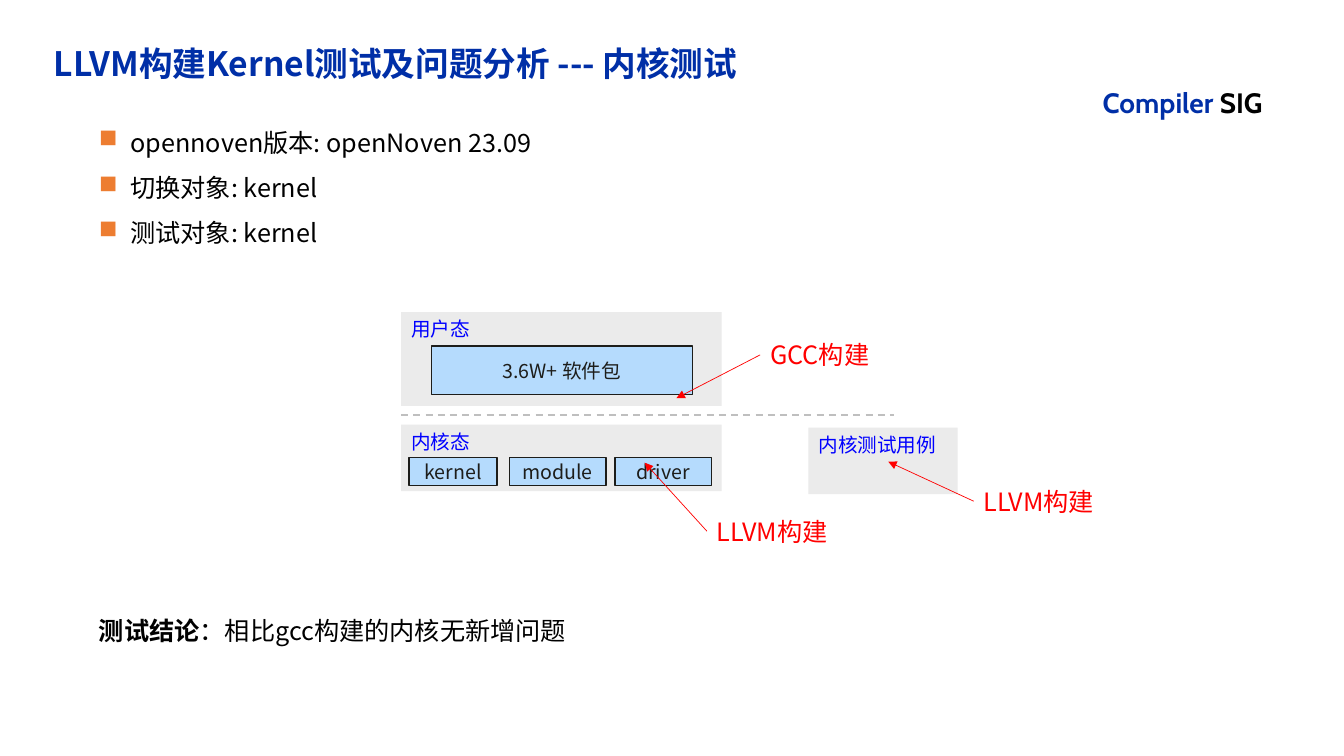
from lxml.etree import SubElement
from pptx import Presentation
from pptx.dml.color import RGBColor
from pptx.enum.dml import MSO_LINE
from pptx.enum.shapes import MSO_CONNECTOR, MSO_SHAPE
from pptx.enum.text import MSO_ANCHOR as ANCHOR, MSO_AUTO_SIZE, PP_ALIGN as ALIGN
from pptx.oxml.ns import qn
from pptx.util import Pt

# Content; boxes are (left, top, width, height) in points
TITLE = "LLVM构建Kernel测试及问题分析 --- 内核测试"
GROUP_NAME = ("Compiler", " SIG")
SCOPE = ["opennoven版本: openNoven 23.09", "切换对象: kernel", "测试对象: kernel"]
CONCLUSION = ("测试结论", "：相比gcc构建的内核无新增问题")
ZONES = [
    ("用户态", (286.5, 223, 229, 67)),
    ("内核态", (286.5, 303.3, 229, 47.5)),
    ("内核测试用例", (577.5, 305.5, 106.5, 47.5)),
]
PARTS = [
    ("3.6W+ 软件包", (308, 247, 186.5, 35)),
    ("kernel", (292.3, 327, 62.7, 20)),
    ("module", (363.8, 327, 69, 20)),
    ("driver", (439.2, 327, 69, 20)),
]
# Label, its left and top, and the point its arrow reaches
BUILDERS = [
    ("GCC构建", (543, 239), (483.2, 284.4)),
    ("LLVM构建", (505, 365), (460.5, 330.5)),
    ("LLVM构建", (695.5, 343.5), (634.5, 329.8)),
]
LABEL_SIZE = (118, 29)
DIVIDER = (286.5, 296.7, 638.6)  # left, y, right

COLORS = {
    "brand": "002FA7", "text": "000000", "bullet": "ED7D31", "zone": "EBEBEB",
    "zone_name": "0000FF", "part": "B5DBFD", "ink": "1D1D1A",
    "builder": "FF0000", "divider": "BFBFBF",
}
SANS = "Noto Sans CJK SC"

prs = Presentation()
prs.slide_width, prs.slide_height = Pt(960), Pt(540)
slide = prs.slides.add_slide(prs.slide_layouts[5])
shapes = slide.shapes


def color(name):
    return RGBColor.from_string(COLORS[name])


def style(paragraph, size, ink, face=SANS, bold=None):
    font = paragraph.font
    font.size, font.name, font.bold = Pt(size), face, bold
    font.color.rgb = color(ink)
    defaults = paragraph._p.pPr.find(qn("a:defRPr"))
    SubElement(defaults, qn("a:ea")).set("typeface", face)
    return defaults


def add_text(box, *runs):
    frame = shapes.add_textbox(*map(Pt, box)).text_frame
    frame.word_wrap = True
    for text in runs:
        frame.paragraphs[0].add_run().text = text
    return frame


def add_box(text, box, fill, ink, anchor, align):
    rect = shapes.add_shape(MSO_SHAPE.RECTANGLE, *map(Pt, box))
    rect.shadow.inherit = False
    rect.fill.solid()
    rect.fill.fore_color.rgb = color(fill)
    frame = rect.text_frame
    frame.text = text
    frame.vertical_anchor = anchor
    paragraph = frame.paragraphs[0]
    paragraph.alignment = align
    style(paragraph, 14, ink)
    return rect


def add_line(start, end, ink, width):
    line = shapes.add_connector(MSO_CONNECTOR.STRAIGHT, *map(Pt, start + end))
    line.line.color.rgb = color(ink)
    line.line.width = Pt(width)
    SubElement(line._element.spPr, qn("a:effectLst"))
    return line


# Title
title = shapes.title
title.left, title.top, title.width, title.height = map(Pt, (30.5, 30, 723.5, 33.5))
heading = title.text_frame
heading.text = TITLE
heading.auto_size = MSO_AUTO_SIZE.NONE
heading.vertical_anchor = ANCHOR.MIDDLE
heading.margin_left = Pt(8)
heading.paragraphs[0].alignment = ALIGN.LEFT
heading.paragraphs[0].line_spacing = 0.9
style(heading.paragraphs[0], 24, "brand", bold=True)

# Group name at the upper right
group = add_text((780.5, 57.6, 140.5, 31.5), *GROUP_NAME).paragraphs[0]
style(group, 20, "brand", "Cabin", True)
group.runs[1].font.color.rgb = color("text")

# Test scope
scope = add_text((63.5, 76.3, 350, 101.5))
scope.text = "\n".join(SCOPE)
for item in scope.paragraphs:
    item.line_spacing = 1.5
    defaults = style(item, 18, "text")
    props = item._p.pPr
    props.set("marL", str(Pt(22.5)))
    props.set("indent", str(-Pt(22.5)))
    bullet_color = SubElement(props, qn("a:buClr"))
    SubElement(bullet_color, qn("a:srgbClr")).set("val", COLORS["bullet"])
    SubElement(props, qn("a:buChar")).set("char", "■")
    props.append(defaults)  # font defaults come after the bullet

# Zones and their parts
for name, box in ZONES:
    zone = add_box(name, box, "zone", "zone_name", ANCHOR.TOP, ALIGN.LEFT)
    zone.line.fill.background()
for name, box in PARTS:
    part = add_box(name, box, "part", "ink", ANCHOR.MIDDLE, ALIGN.CENTER)
    part.line.color.rgb = color("ink")
    part.line.width = Pt(1)

# Divider between user and kernel space
left, y, right = DIVIDER
divider = add_line((left, y), (right, y), "divider", 1.25)
divider.line.dash_style = MSO_LINE.DASH

# Builders, each with an arrow to what it builds
for name, corner, target in BUILDERS:
    label = shapes.add_textbox(*map(Pt, corner + LABEL_SIZE))
    label.text_frame.word_wrap = True
    label.text_frame.text = name
    style(label.text_frame.paragraphs[0], 18, "builder")
    start = (corner[0], corner[1] + LABEL_SIZE[1] / 2)
    arrow = add_line(start, target, "builder", 0.5)
    arrow.begin_connect(label, 1)
    SubElement(arrow.line._get_or_add_ln(), qn("a:tailEnd")).set("type", "triangle")

# Conclusion
conclusion = add_text((63.5, 436.3, 835, 29), *CONCLUSION).paragraphs[0]
style(conclusion, 18, "text")
conclusion.runs[0].font.bold = True

prs.save("out.pptx")
